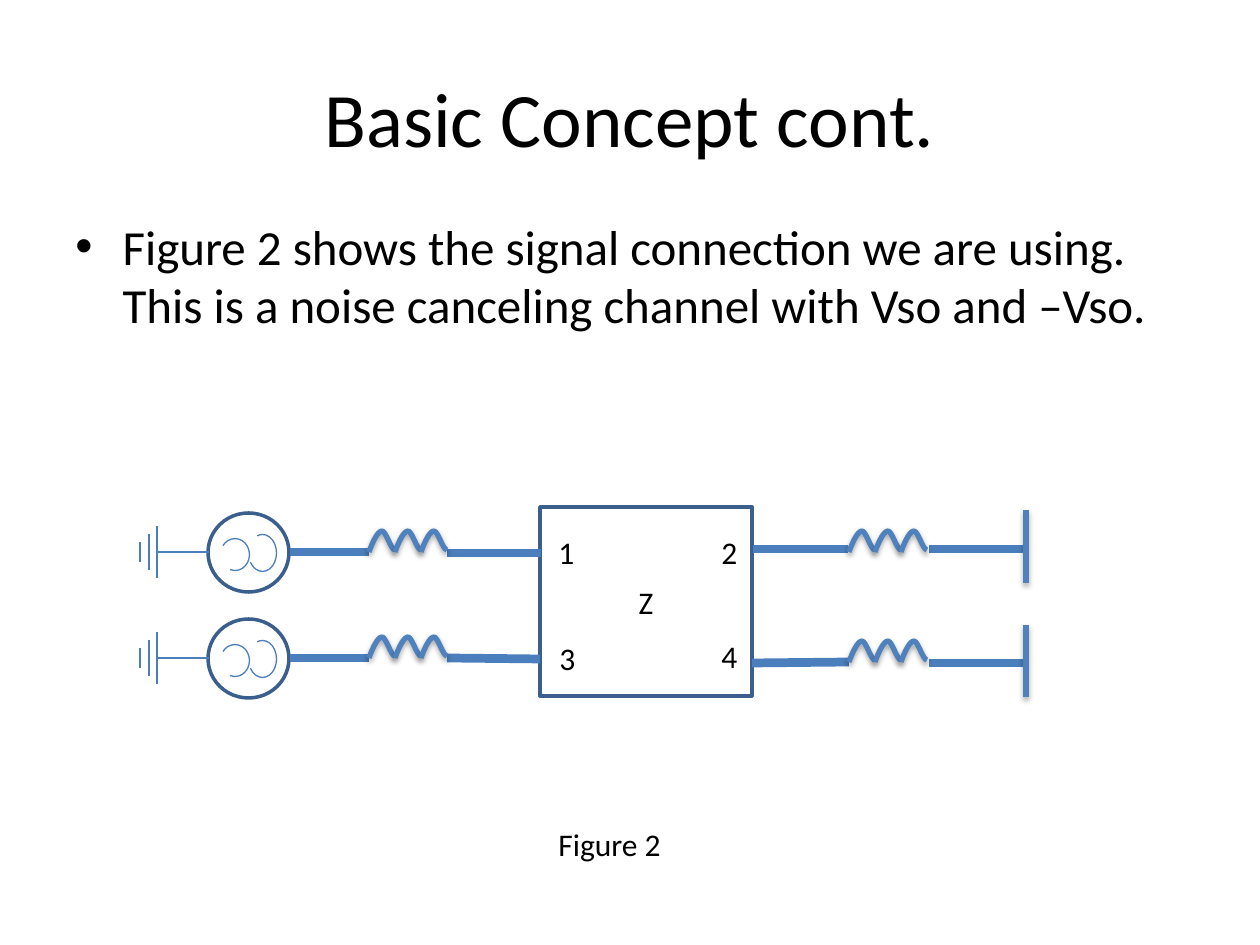
from typing import NamedTuple

from lxml import etree
from pptx import Presentation
from pptx.dml.color import RGBColor
from pptx.enum.shapes import MSO_CONNECTOR, MSO_SHAPE
from pptx.enum.text import MSO_ANCHOR, PP_ALIGN
from pptx.oxml.ns import qn
from pptx.util import Emu, Pt

RECTANGLE, OVAL, ARC = MSO_SHAPE.RECTANGLE, MSO_SHAPE.OVAL, MSO_SHAPE.ARC
STRAIGHT = MSO_CONNECTOR.STRAIGHT
TOP, MIDDLE = MSO_ANCHOR.TOP, MSO_ANCHOR.MIDDLE
LEFT, CENTER = PP_ALIGN.LEFT, PP_ALIGN.CENTER

EMU_PER_PX = 914400 / 126
BLACK, OUTLINE, WIRE, COIL = "000000", "3A5F8C", "4B7EBC", "4F81BD"
THIN, BORDER, MEDIUM, THICK = 0.75, 2, 3, 5


class Label(NamedTuple):
    text: str
    left: int
    top: int
    width: int
    height: int
    size: int = 18
    align: PP_ALIGN = LEFT
    anchor: MSO_ANCHOR = TOP
    bullet: bool = False


class Segment(NamedTuple):
    x1: int
    y1: int
    x2: int
    y2: int


class HalfWave(NamedTuple):
    left: int
    rise: int  # distance from the wire up to the top of the frame
    width: int
    height: int
    start: float
    end: float
    flipped: bool


LABELS = [
    Label("Basic Concept cont.", 63, 38, 1134, 158, 44, CENTER, MIDDLE),
    Label("Figure 2", 546, 819, 252, 50),
    Label("Figure 2 shows the signal connection we are using. This is a noise "
          "canceling channel with Vso and –Vso.",
          63, 210, 1134, 213, 28, bullet=True),
    Label("1", 546, 527, 42, 50),
    Label("2", 709, 527, 42, 50),
    Label("3", 547, 633, 42, 50),
    Label("4", 709, 631, 42, 50),
]
SOURCE_ROWS = [552, 658]
LOAD_ROWS = [552, 662]
SOURCE_COIL_X, LOAD_COIL_X = 369, 849
WIRES = [
    Segment(447, 553, 541, 553), Segment(447, 658, 540, 659),
    Segment(753, 549, 848, 549), Segment(752, 663, 849, 662),
    Segment(929, 549, 1026, 549), Segment(929, 663, 1026, 663),
]
END_BARS = [Segment(1026, 510, 1026, 583), Segment(1026, 625, 1026, 697)]
GROUND_BARS = [(157, 26), (149, 18), (140, 10)]  # x, half height
SINE = [HalfWave(244, 13, 37, 28, 162.92, 53.03, False),
        HalfWave(219, 12, 32, 29, 162, 53.03, True)]
# One coil turn: two cubic curves, relative to its lower left end
TURN = [(4, -11), (9, -21), (13, -21), (17, -21), (22, -2), (26, -2)]
TURN_WIDTH, TURNS = 26, 3


def px(length: float) -> Emu:
    return Emu(round(length * EMU_PER_PX))


def rgb(color: str) -> RGBColor:
    return RGBColor.from_string(color)


def set_stroke(item, color: str, width: float, shadow: bool = False) -> None:
    item.line.color.rgb = rgb(color)
    item.line.width = Pt(width)
    effects = etree.SubElement(item._element.spPr, qn("a:effectLst"))
    if shadow:
        outer = etree.SubElement(effects, qn("a:outerShdw"), blurRad="40000",
                                 dist="23000", dir="5400000", rotWithShape="0")
        tint = etree.SubElement(outer, qn("a:srgbClr"), val=BLACK)
        etree.SubElement(tint, qn("a:alpha"), val="35000")


def write(frame, text: str, size: int, align: PP_ALIGN,
          anchor: MSO_ANCHOR, bullet: bool = False) -> None:
    frame.word_wrap = True
    frame.vertical_anchor = anchor
    paragraph = frame.paragraphs[0]
    paragraph.text = text
    paragraph.alignment = align
    if bullet:
        properties = paragraph._p.get_or_add_pPr()
        properties.set("marL", "342900")
        properties.set("indent", "-342900")
        etree.SubElement(properties, qn("a:buFont"), typeface="Arial")
        etree.SubElement(properties, qn("a:buChar"), char="•")
    paragraph.font.name = "Calibri"
    paragraph.font.size = Pt(size)
    paragraph.font.color.rgb = rgb(BLACK)


def add_label(slide, label: Label) -> None:
    box = slide.shapes.add_textbox(px(label.left), px(label.top),
                                   px(label.width), px(label.height))
    write(box.text_frame, label.text, label.size, label.align,
          label.anchor, label.bullet)


def add_outline(slide, kind: MSO_SHAPE, left: int, top: int, width: int,
                height: int, color: str, weight: float):
    shape = slide.shapes.add_shape(kind, px(left), px(top),
                                   px(width), px(height))
    shape.fill.background()
    set_stroke(shape, color, weight)
    return shape


def add_line(slide, segment: Segment, color: str, weight: float,
             shadow: bool = False) -> None:
    line = slide.shapes.add_connector(STRAIGHT, *map(px, segment))
    set_stroke(line, color, weight, shadow)


def add_coil(slide, left: int, base: int) -> None:
    for x in range(left, left + TURNS * TURN_WIDTH, TURN_WIDTH):
        builder = slide.shapes.build_freeform(x, base, scale=EMU_PER_PX)
        builder.add_line_segments([(x + dx, base + dy) for dx, dy in TURN],
                                  close=False)
        turn = builder.convert_to_shape()
        # Every three points become one cubic curve
        steps = list(turn._element.iter(qn("a:lnTo")))
        outline = steps[0].getparent()
        for first in range(0, len(steps), 3):
            curve = etree.SubElement(outline, qn("a:cubicBezTo"))
            for step in steps[first:first + 3]:
                curve.append(step[0])
                outline.remove(step)
        turn.fill.background()
        set_stroke(turn, COIL, MEDIUM, shadow=True)


def add_source(slide, y: int) -> None:
    add_outline(slide, OVAL, 208, y - 39, 81, 79, OUTLINE, BORDER)
    for half in SINE:
        arc = add_outline(slide, ARC, half.left, y - half.rise, half.width,
                          half.height, WIRE, THIN)
        arc.adjustments[0] = half.start * 0.6
        arc.adjustments[1] = half.end * 0.6
        arc.rotation = 90
        if half.flipped:
            arc._element.spPr.xfrm.set("flipH", "1")
    add_line(slide, Segment(209, y, 157, y), WIRE, THIN)
    for x, reach in GROUND_BARS:
        add_line(slide, Segment(x, y - reach, x, y + reach), WIRE, THIN)
    add_line(slide, Segment(290, y, SOURCE_COIL_X, y), WIRE, THICK)
    add_coil(slide, SOURCE_COIL_X, y)


def main() -> None:
    deck = Presentation()
    deck.slide_width, deck.slide_height = px(1260), px(945)
    slide = deck.slides.add_slide(deck.slide_layouts[6])

    # Four-port block
    block = add_outline(slide, RECTANGLE, 540, 507, 212, 189, OUTLINE, BORDER)
    write(block.text_frame, "Z", 18, CENTER, MIDDLE)

    # Wires, sources and loads
    for wire in WIRES:
        add_line(slide, wire, WIRE, THICK)
    for y in SOURCE_ROWS:
        add_source(slide, y)
    for y in LOAD_ROWS:
        add_coil(slide, LOAD_COIL_X, y)
    for bar in END_BARS:
        add_line(slide, bar, COIL, MEDIUM, shadow=True)

    # Title, body, caption and port numbers
    for label in LABELS:
        add_label(slide, label)

    deck.save("out.pptx")


if __name__ == "__main__":
    main()
